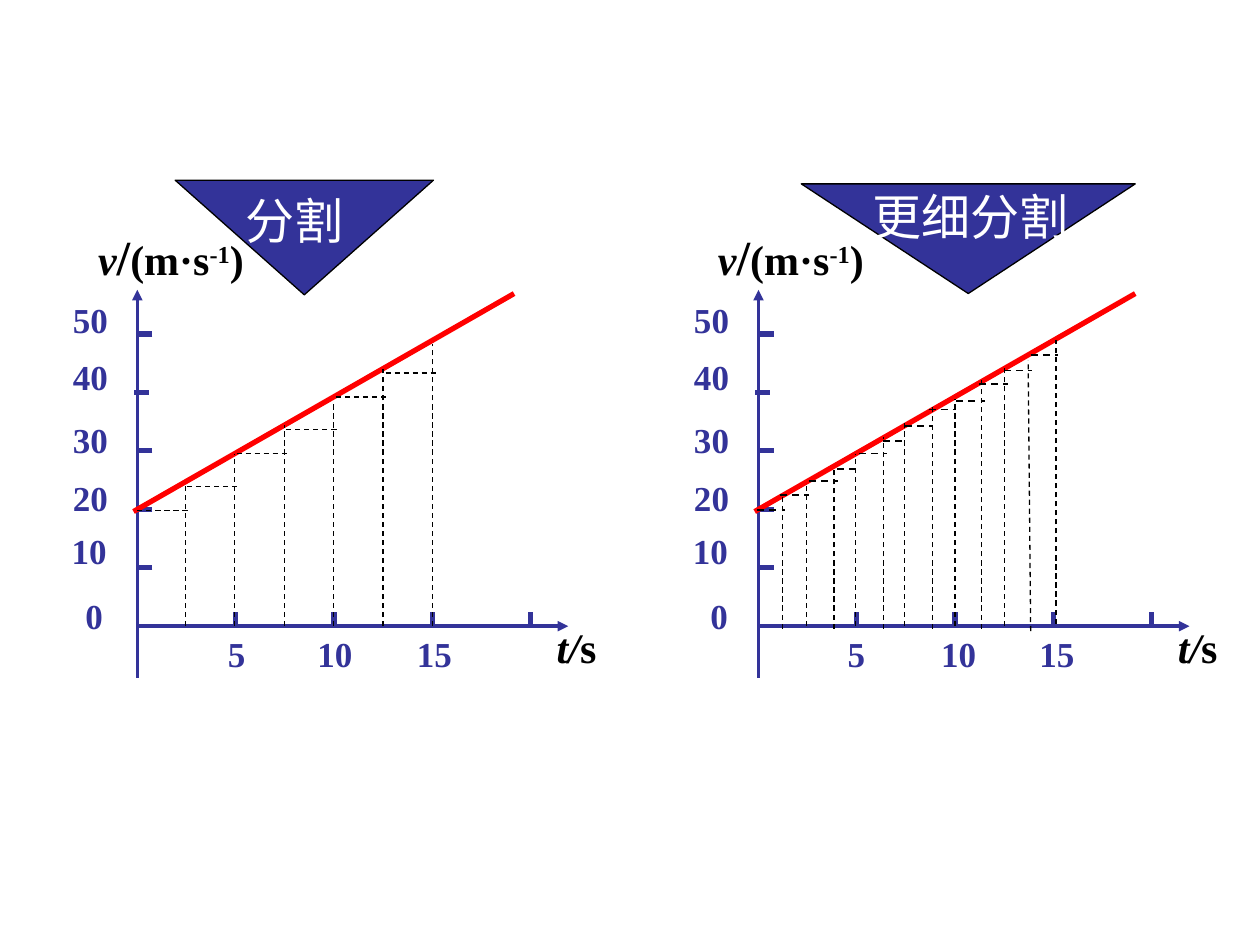
import pptx
import pptx.dml.color
import pptx.enum.dml
import pptx.enum.shapes
import pptx.enum.text
import pptx.oxml
import pptx.oxml.ns
import pptx.util
from pptx.util import Inches

BLUE = pptx.dml.color.RGBColor(0x33, 0x33, 0x99)
RED = pptx.dml.color.RGBColor(0xFF, 0x00, 0x00)
BLACK = pptx.dml.color.RGBColor(0x00, 0x00, 0x00)
WHITE = pptx.dml.color.RGBColor(0xFF, 0xFF, 0xFF)

deck = pptx.Presentation()
deck.slide_width, deck.slide_height = Inches(10), Inches(7.5)
slide = deck.slides.add_slide(deck.slide_layouts[6])


def add_text(text, left, top, width, height, size=20, color=BLUE, bold=True):
    """Text is a string, or a list of (text, size, italic, baseline) runs."""
    box = slide.shapes.add_textbox(Inches(left), Inches(top), Inches(width), Inches(height))
    box.text_frame.word_wrap = True
    box.text_frame.auto_size = pptx.enum.text.MSO_AUTO_SIZE.SHAPE_TO_FIT_TEXT
    runs = [(text, size, False, 0)] if isinstance(text, str) else text
    for words, points, italic, baseline in runs:
        run = box.text_frame.paragraphs[0].add_run()
        run.text = words
        run.font.name = "Times New Roman"
        run.font.size = pptx.util.Pt(points)
        run.font.bold = bold
        run.font.italic = italic
        run.font.color.rgb = color
        if baseline:
            run.font._element.set("baseline", str(baseline))


def add_line(x1, y1, x2, y2, color=BLUE, width=3, dashed=False, arrow=False):
    line = slide.shapes.add_connector(
        pptx.enum.shapes.MSO_CONNECTOR.STRAIGHT,
        Inches(x1), Inches(y1), Inches(x2), Inches(y2))
    line.line.color.rgb = color
    line.line.width = pptx.util.Pt(width)
    if dashed:
        line.line.dash_style = pptx.enum.dml.MSO_LINE.DASH
    if arrow:
        tail = pptx.oxml.parse_xml(f'<a:tailEnd {pptx.oxml.ns.nsdecls("a")} type="triangle"/>')
        line.line._get_or_add_ln().append(tail)
    line._element.spPr.append(
        pptx.oxml.parse_xml(f'<a:effectLst {pptx.oxml.ns.nsdecls("a")}/>'))


SPEED_TITLE = [("v", 24, True, 0), ("/", 28, False, 0), ("(m·s", 24, False, 0),
               ("-1", 24, False, 30000), (")", 24, False, 0)]
TIME_TITLE = [("t/", 24, True, 0), ("s", 24, False, 0)]
AXIS_Y = 4.97
SPEED_LABEL_TOPS = {10: 4.15, 20: 3.73, 30: 3.27, 40: 2.77, 50: 2.32}

# Each graph: origin, title left and width, zero label left, time label lefts
graphs = [
    (1.09, 0.68, 2.76, 0.58, (1.71, 2.42, 3.21)),
    (6.02, 5.60, 1.74, 5.54, (6.63, 7.37, 8.15)),
]
for origin, title_left, title_width, zero_left, time_lefts in graphs:
    # White ground of the right graph
    if origin > 5:
        ground = slide.shapes.add_shape(
            pptx.enum.shapes.MSO_SHAPE.RECTANGLE,
            Inches(5.24), Inches(1.75), Inches(4.6), Inches(3.77))
        ground.shadow.inherit = False
        ground.fill.solid()
        ground.fill.fore_color.rgb = WHITE
        ground.line.fill.background()

    # Axes and their titles
    add_line(origin, AXIS_Y, origin + 3.42, AXIS_Y, width=2, arrow=True)
    add_line(origin, 5.38, origin, 2.3, width=2, arrow=True)
    add_text(SPEED_TITLE, title_left, 1.75, title_width, 0.57, color=BLACK)
    add_text(TIME_TITLE, origin + 3.23, 4.88, 1.08, 0.51, color=BLACK)

    # Time ticks and labels
    for step in range(1, 5):
        x = origin + 0.78 * step
        add_line(x, 4.86, x, 4.98)
    for seconds, left, width in zip((5, 10, 15), time_lefts, (0.5, 0.75, 0.73)):
        add_text(str(seconds), left, AXIS_Y, width, 0.44)

    # Speed ticks and labels
    add_text("0", zero_left, 4.67, 0.5, 0.44)
    for speed, top in SPEED_LABEL_TOPS.items():
        x = origin - 0.03 if speed == 40 else origin
        y = AXIS_Y - 0.0464 * speed
        add_line(x + 0.12, y, x, y)
        label_left = origin - (0.62 if speed == 10 else 0.61)
        add_text(str(speed), label_left, top, 0.7, 0.44)

    # Speed against time
    add_line(origin - 0.03, 4.06, origin + 2.99, 2.33, color=RED)

# Coarse division: six strips
for strip, top in enumerate((3.85, 3.6, 3.37, 3.18, 2.93, 2.73), start=1):
    x = 1.08 + 0.392 * strip
    add_line(x, AXIS_Y, x, top, BLACK, 0.75, dashed=True)
for strip, y in enumerate((4.05, 3.86, 3.6, 3.41, 3.15, 2.96)):
    x = 1.09 + 0.394 * strip
    add_line(x, y, x + 0.41, y, BLACK, 0.75, dashed=True)

# Fine division: twelve strips, as (foot x, foot y, head x, head y)
fine_sides = [
    (6.21, 4.99, 6.21, 3.92), (6.4, 4.97, 6.4, 3.85), (6.62, 4.99, 6.62, 3.72),
    (6.79, 4.97, 6.79, 3.6), (7.01, 4.99, 7.01, 3.47), (7.18, 4.97, 7.18, 3.36),
    (7.4, 4.99, 7.4, 3.2), (7.58, 4.97, 7.58, 3.17), (7.79, 4.99, 7.79, 3.01),
    (7.97, 4.97, 7.97, 2.92), (8.18, 5.01, 8.16, 2.86), (8.38, 4.95, 8.38, 2.7),
]
for side in fine_sides:
    add_line(*side, BLACK, 0.75, dashed=True)
fine_tops = [
    (6.01, 6.23, 4.05), (6.19, 6.42, 3.93), (6.42, 6.65, 3.82), (6.64, 6.8, 3.72),
    (6.82, 7.04, 3.6), (7.01, 7.18, 3.5), (7.18, 7.4, 3.38), (7.37, 7.59, 3.25),
    (7.59, 7.82, 3.18), (7.77, 8, 3.05), (7.97, 8.19, 2.94), (8.18, 8.4, 2.82),
]
for start, end, y in fine_tops:
    add_line(start, y, end, y, BLACK, 1, dashed=True)

# Headings on triangles: text, triangle place, text place
headings = [
    ("分割", (1.39, 1.43, 2.05, 0.91), (1.85, 1.46, 1.57, 0.57)),
    ("更细分割", (6.36, 1.46, 2.65, 0.87), (6.83, 1.43, 1.9, 0.57)),
]
for heading, triangle_place, text_place in headings:
    triangle = slide.shapes.add_shape(
        pptx.enum.shapes.MSO_SHAPE.FLOWCHART_MERGE, *map(Inches, triangle_place))
    triangle.shadow.inherit = False
    triangle.fill.solid()
    triangle.fill.fore_color.rgb = BLUE
    triangle.line.color.rgb = BLACK
    triangle.line.width = pptx.util.Pt(0.75)
    add_text(heading, *text_place, size=28, color=WHITE, bold=False)

deck.save("out.pptx")
